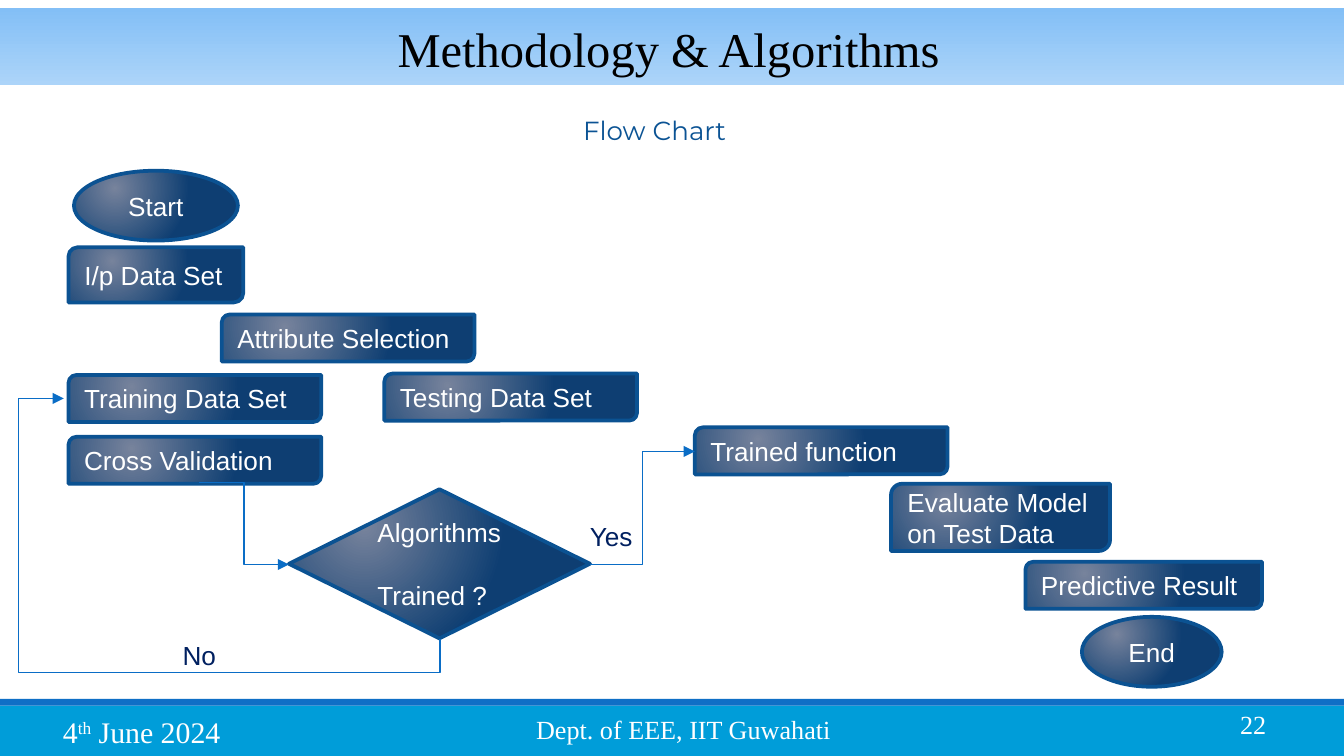
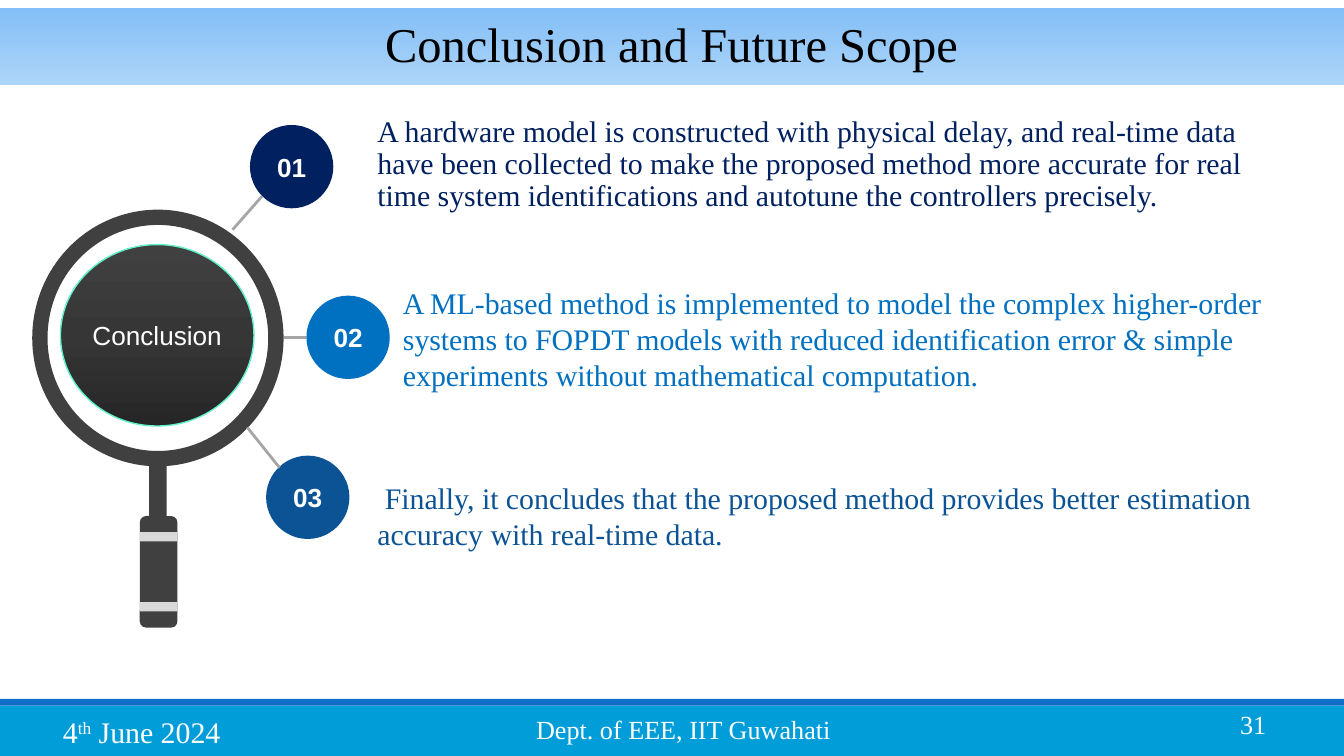
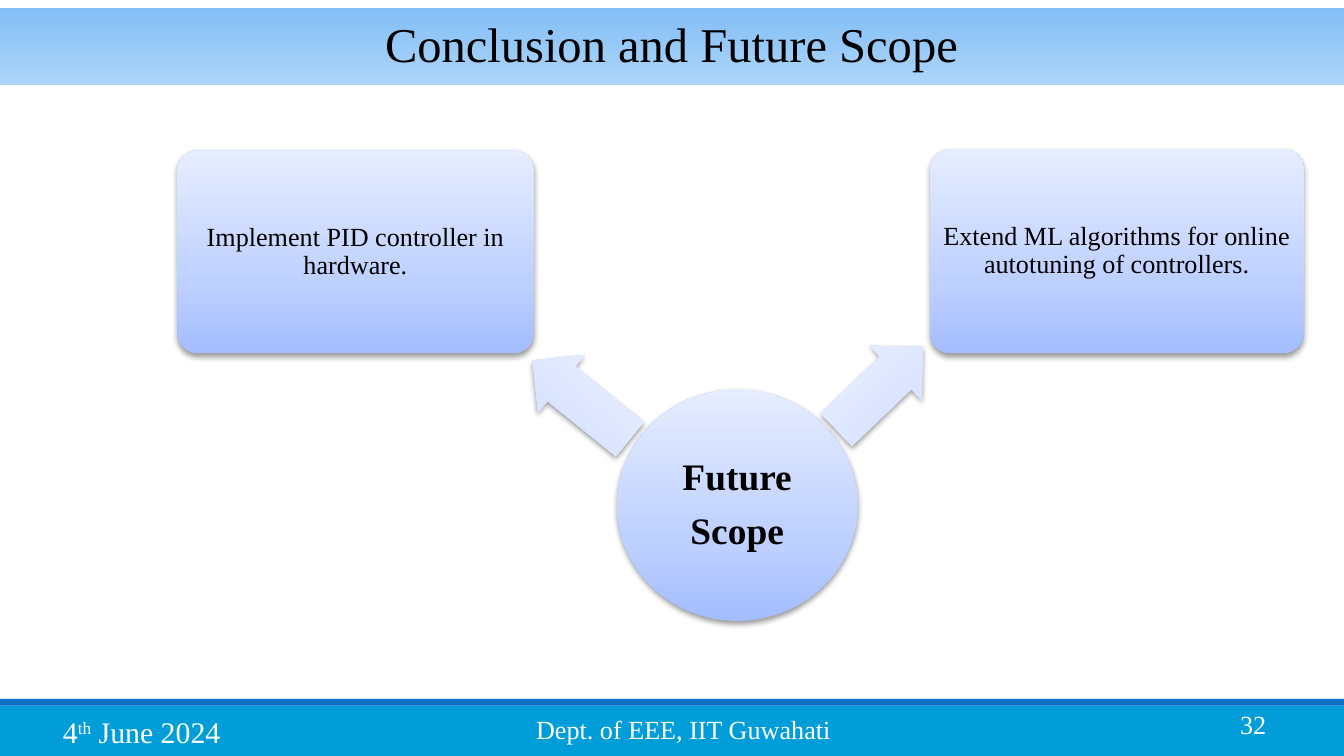
from typing import NamedTuple

from lxml import etree
from pptx import Presentation
from pptx.dml.color import RGBColor
from pptx.enum.shapes import MSO_CONNECTOR, MSO_SHAPE
from pptx.enum.text import MSO_ANCHOR, PP_ALIGN
from pptx.oxml.ns import qn
from pptx.util import Inches, Pt

# Grid: 100 columns by 56.25 rows of square cells
WIDTH, HEIGHT = Inches(10), Inches(5.625)
CELL = WIDTH // 100

SERIF, SANS, DISPLAY = "Times New Roman", "Arial", "Montserrat"

BLACK = RGBColor(0x00, 0x00, 0x00)
WHITE = RGBColor(0xFF, 0xFF, 0xFF)
FOOTER_BLUE = RGBColor(0x00, 0x9D, 0xD9)
STRIPE_BLUE = RGBColor(0x0F, 0x6F, 0xC6)
TITLE_TOP = RGBColor(0x83, 0xBF, 0xF6)
TITLE_BOTTOM = RGBColor(0xAC, 0xD4, 0xF9)
STEP_LIGHT = RGBColor(0x77, 0x83, 0x9C)
STEP_DARK = RGBColor(0x0E, 0x3E, 0x72)
STEP_EDGE = RGBColor(0x0B, 0x52, 0x92)
ARROW_BLUE = RGBColor(0x0A, 0x6D, 0xC6)
NAVY = RGBColor(0x00, 0x20, 0x60)
BLUE = RGBColor(0x00, 0x70, 0xC0)
DEEP_BLUE = RGBColor(0x0B, 0x53, 0x94)
CHARCOAL = RGBColor(0x40, 0x40, 0x40)
SILVER = RGBColor(0xD9, 0xD9, 0xD9)
SPOKE_GRAY = RGBColor(0xA6, 0xA6, 0xA6)
MINT = RGBColor(0x5F, 0xF3, 0xCA)

# Gradients: (position in percent, colour)
TITLE_STOPS = [(0, TITLE_TOP), (100, TITLE_BOTTOM)]
STEP_STOPS = [(0, STEP_LIGHT), (84, STEP_DARK)]
LENS_STOPS = [(0, RGBColor(0x26, 0x26, 0x26)), (50, RGBColor(0x36, 0x36, 0x36)),
              (100, CHARCOAL)]
CARD_STOPS = [(0, RGBColor(0xA3, 0xBD, 0xFF)), (35, RGBColor(0xBE, 0xD0, 0xFF)),
              (100, RGBColor(0xE6, 0xED, 0xFF))]
POINTER_STOPS = [(0, RGBColor(0xCB, 0xD9, 0xFF)), (35, RGBColor(0xDA, 0xE4, 0xFF)),
                 (100, RGBColor(0xF0, 0xF4, 0xFF))]

RECT, ROUND_RECT = MSO_SHAPE.RECTANGLE, MSO_SHAPE.ROUNDED_RECTANGLE
ELLIPSE, DONUT = MSO_SHAPE.OVAL, MSO_SHAPE.DONUT
STEP, DECISION = MSO_SHAPE.ROUND_2_DIAG_RECTANGLE, MSO_SHAPE.FLOWCHART_DECISION
LEFT_ARROW, RIGHT_ARROW = MSO_SHAPE.LEFT_ARROW, MSO_SHAPE.RIGHT_ARROW
STRAIGHT, ELBOW = MSO_CONNECTOR.STRAIGHT, MSO_CONNECTOR.ELBOW
LEFT, CENTER, RIGHT = PP_ALIGN.LEFT, PP_ALIGN.CENTER, PP_ALIGN.RIGHT
TOP, MIDDLE = MSO_ANCHOR.TOP, MSO_ANCHOR.MIDDLE


class Box(NamedTuple):
    """A region in grid cells."""
    x: float
    y: float
    w: float
    h: float

    def inner(self, dx, dy, w, h):
        return Box(self.x + dx, self.y + dy, w, h)

    def emu(self):
        return [round(v * CELL) for v in self]


def add_xml(parent, tag, **attrs):
    return etree.SubElement(parent, qn(tag), {k: str(v) for k, v in attrs.items()})


def add_color(parent, color):
    return add_xml(parent, "a:srgbClr", val=color)


def set_gradient(sp, stops, angle=None):
    """Linear at the given angle, or circular without one."""
    sp.fill.gradient()
    grad = sp._element.spPr.find(qn("a:gradFill"))
    for child in list(grad):
        grad.remove(child)
    gs_list = add_xml(grad, "a:gsLst")
    for pos, color in stops:
        add_color(add_xml(gs_list, "a:gs", pos=pos * 1000), color)
    if angle is None:
        circle = add_xml(grad, "a:path", path="circle")
        add_xml(circle, "a:fillToRect", l=50000, t=50000, r=100000, b=100000)
    else:
        add_xml(grad, "a:lin", ang=angle * 60000, scaled=0)


def set_shadow(sp):
    effects = sp._element.spPr.find(qn("a:effectLst"))
    shadow = add_xml(effects, "a:outerShdw", blurRad=Pt(3.1), dist=Pt(1.6),
                     dir=90 * 60000, rotWithShape=0)
    add_xml(add_color(shadow, BLACK), "a:alpha", val=38000)


def add_shape(slide, kind, box, fill=None, stops=None, angle=None, edge=None,
              edge_width=2, adjust=()):
    sp = slide.shapes.add_shape(kind, *box.emu())
    sp.shadow.inherit = False
    if stops:
        set_gradient(sp, stops, angle)
    else:
        sp.fill.solid()
        sp.fill.fore_color.rgb = fill
    if edge is None:
        sp.line.fill.background()
    else:
        sp.line.color.rgb = edge
        sp.line.width = Pt(edge_width)
    for i, value in enumerate(adjust):
        sp.adjustments[i] = value
    return sp


def set_text(sp, lines, size, color, font=SANS, bold=False, align=LEFT,
             anchor=MIDDLE, inset=None, wrap=True, spacing=None, gap=0):
    """Each line is a paragraph; a list of (text, baseline) pairs gives runs."""
    tf = sp.text_frame
    tf.word_wrap = wrap
    tf.vertical_anchor = anchor
    if inset is not None:
        tf.margin_left = tf.margin_right = Inches(inset)
        tf.margin_top = tf.margin_bottom = Inches(inset)
    for i, line in enumerate(lines):
        p = tf.add_paragraph() if i else tf.paragraphs[0]
        for text, baseline in [(line, 0)] if isinstance(line, str) else line:
            r = p.add_run()
            r.text = text
            if baseline:
                r._r.get_or_add_rPr().set("baseline", str(baseline * 1000))
        p.alignment = align
        if spacing:
            p.line_spacing = spacing
        if i and gap:
            p.space_before = Pt(gap)
        p.font.name, p.font.size, p.font.bold = font, Pt(size), bold
        p.font.color.rgb = color
    return tf


def add_text(slide, box, lines, size, color, **style):
    sp = slide.shapes.add_textbox(*box.emu())
    return set_text(sp, lines, size, color, anchor=TOP, **style)


def add_line(slide, kind, box, start, end, color, width, arrow=False):
    ends = [round(v * CELL) for x, y in (start, end) for v in (box.x + x, box.y + y)]
    cn = slide.shapes.add_connector(kind, *ends)
    cn.line.color.rgb = color
    cn.line.width = Pt(width)
    sp_pr = cn._element.spPr
    if arrow:
        add_xml(sp_pr.find(qn("a:ln")), "a:tailEnd", type="triangle")
    add_xml(sp_pr, "a:effectLst")
    return cn


# Shared frame
def add_footer(slide, box, number):
    add_shape(slide, RECT, box.inner(0, 0.5, box.w, 3.75), FOOTER_BLUE)
    add_shape(slide, RECT, box.inner(0, 0, box.w, 0.5), STRIPE_BLUE)
    date = [("4", 0), ("th", 30), (" June 2024", 0)]
    add_text(slide, box.inner(3.7, 0.6, 20.4, 3.7), [date], 16, WHITE, font=SERIF)
    add_text(slide, box.inner(38.9, 0.6, 26.2, 3.4), ["Dept. of EEE, IIT Guwahati"],
             14, WHITE, font=SERIF)
    add_text(slide, box.inner(86.6, 0.2, 8.6, 3.4), [str(number)], 14, WHITE,
             font=SERIF, align=RIGHT)


def new_slide(prs, number, title=None):
    slide = prs.slides.add_slide(prs.slide_layouts[6])
    band = add_shape(slide, RECT, Box(0, 0.6, 100, 5.7), stops=TITLE_STOPS, angle=90)
    if title:
        set_text(band, [title], 26, BLACK, font=SERIF, align=CENTER, spacing=0.9)
    add_footer(slide, Box(0, 52, 100, 4.25), number)
    return slide


# Flow chart
STEPS = [
    (ELLIPSE, "Start", (5.5, 4.7, 12.2, 5.2)),
    (STEP, "I/p Data Set", (5.1, 10.4, 13, 4.1)),
    (STEP, "Attribute Selection", (16.5, 15.4, 18.8, 3.5)),
    (STEP, "Testing Data Set", (28.6, 19.8, 18.8, 3.5)),
    (STEP, "Training Data Set", (5.1, 19.9, 18.8, 3.5)),
    (STEP, "Cross Validation", (5.1, 24.5, 18.8, 3.5)),
    (STEP, "Trained function", (51.7, 23.8, 18.8, 3.5)),
    (STEP, "Evaluate Model on Test Data", (66.3, 28, 16.3, 5)),
    (STEP, "Predictive Result", (76.3, 33.8, 17.6, 3.5)),
    (ELLIPSE, "End", (80.5, 37.9, 10.4, 5.2)),
]


def add_loop_back(slide, box):
    """Four-segment elbow from below the decision back to the training set."""
    cn = add_line(slide, ELBOW, box, (27.7, 16.6), (9.8, 44.6), ARROW_BLUE, 0.75, True)
    sp_pr = cn._element.spPr
    sp_pr.find(qn("a:xfrm")).set("rot", str(90 * 60000))
    geom = sp_pr.find(qn("a:prstGeom"))
    geom.set("prst", "bentConnector4")
    guides = geom.find(qn("a:avLst"))
    if guides is None:
        guides = add_xml(geom, "a:avLst")
    for name, value in (("adj1", -13900), ("adj2", 112000)):
        add_xml(guides, "a:gd", name=name, fmla=f"val {value}")


def add_flow_chart(slide, box):
    add_text(slide, box.inner(42.4, 0, 13.7, 3.4), ["Flow Chart"], 14, DEEP_BLUE,
             font=DISPLAY, wrap=False)
    for kind, label, place in STEPS:
        sp = add_shape(slide, kind, box.inner(*place), stops=STEP_STOPS, edge=STEP_EDGE)
        set_text(sp, [label], 14, WHITE, align=CENTER if kind == ELLIPSE else LEFT)
    # Decision
    sp = add_shape(slide, DECISION, box.inner(21.5, 28.4, 22.4, 11.1),
                   stops=STEP_STOPS, edge=STEP_EDGE)
    set_text(sp, ["Algorithms", "Trained ?"], 14, WHITE, wrap=False, gap=17)
    # Routes and their labels
    for start, end in (((14.8, 27.9), (21.5, 34)), ((43.9, 34), (51.7, 25.6))):
        add_line(slide, ELBOW, box, start, end, ARROW_BLUE, 0.75, True)
    add_loop_back(slide, box)
    for label, place in (("No", (12.6, 39.1, 4.5, 3.4)), ("Yes", (42.9, 30.2, 5.5, 3.4))):
        add_text(slide, box.inner(*place), [label], 14, NAVY, wrap=False)


# Conclusion
FINDINGS = [
    # colour, dot corner, spoke start and end, text place, line spacing, indent, text
    (NAVY, (1.6, 1.3), (2.5, 6.6), (0.3, 9.1), (10.1, 0.2, 66.8, 8.3), 0.9, 0,
     "A hardware model is constructed with physical delay, and real-time data have "
     "been collected to make the proposed method more accurate for real time system "
     "identifications and autotune the controllers precisely."),
    (BLUE, (5.8, 14), (5.8, 17.1), (4.1, 17.1), (12, 12.7, 67.6, 11.4), None, 0,
     "A ML-based method is implemented to model the complex higher-order systems to "
     "FOPDT models with reduced identification error & simple experiments without "
     "mathematical computation."),
    (DEEP_BLUE, (2.8, 25.9), (3.8, 26.8), (1.4, 23.8), (10.1, 27.2, 69.6, 6.4), None, 4,
     "Finally, it concludes that the proposed method provides better estimation "
     "accuracy with real-time data."),
]


def add_magnifier(slide, box):
    # Grip, rod and bands
    add_shape(slide, ROUND_RECT, box.inner(8, 22.8, 2.8, 8.3), CHARCOAL)
    add_shape(slide, ROUND_RECT, box.inner(8.7, 18, 1.3, 5.6), CHARCOAL)
    for y in (24, 29.2):
        add_shape(slide, RECT, box.inner(8, y, 2.8, 0.7), SILVER)
    # Ring and lens
    add_shape(slide, DONUT, box.inner(0, 0, 18.7, 19.1), CHARCOAL, adjust=[0.061])
    lens = add_shape(slide, ELLIPSE, box.inner(2.1, 2.6, 14.4, 13.5), stops=LENS_STOPS,
                     angle=270, edge=MINT, edge_width=0.75)
    set_text(lens, ["Conclusion"], 14, WHITE, align=CENTER, inset=0)


def add_findings(slide, box):
    for i, finding in enumerate(FINDINGS, 1):
        color, corner, start, end, place, spacing, indent, text = finding
        dot = add_shape(slide, ELLIPSE, box.inner(*corner, 6.2, 6.2), color)
        set_text(dot, [f"{i:02}"], 14, WHITE, bold=True, align=CENTER, inset=0)
        add_line(slide, STRAIGHT, box, start, end, SPOKE_GRAY, 1.5)
        tf = add_text(slide, box.inner(*place), [text], 16, color, font=SERIF,
                      spacing=spacing)
        if indent:
            tf.paragraphs[0]._p.get_or_add_pPr().set("indent", str(Pt(indent)))


# Future scope
def add_future_scope(slide, box):
    hub = add_shape(slide, ELLIPSE, box.inner(32.9, 18, 17.9, 17.2),
                    stops=CARD_STOPS, angle=270)
    set_text(hub, ["Future", "Scope"], 20, BLACK, font=SERIF, bold=True, align=CENTER,
             inset=0.01, spacing=0.9, gap=7)
    set_shadow(hub)
    branches = [
        (LEFT_ARROW, (25.6, 16, 9.3, 5.5), 39, (0.2, 0.2, 26.5, 15.1),
         "Implement PID controller in hardware."),
        (RIGHT_ARROW, (48, 15.1, 8.9, 5.6), 316.3, (56.2, 0.1, 27.8, 15.2),
         "Extend ML algorithms for online autotuning of controllers."),
    ]
    for kind, arrow_place, turn, card_place, text in branches:
        arrow = add_shape(slide, kind, box.inner(*arrow_place), stops=POINTER_STOPS,
                          angle=270, adjust=[0.6, 0.5])
        arrow.rotation = turn
        set_shadow(arrow)
        card = add_shape(slide, ROUND_RECT, box.inner(*card_place), stops=CARD_STOPS,
                         angle=270, adjust=[0.1])
        set_text(card, [text], 14, BLACK, font=SERIF, align=CENTER, inset=0.03,
                 spacing=0.9)
        set_shadow(card)


def main():
    prs = Presentation()
    prs.slide_width, prs.slide_height = WIDTH, HEIGHT

    slide = new_slide(prs, 22)
    add_flow_chart(slide, Box(0, 8, 100, 44))
    add_text(slide, Box(28.6, 0.9, 43, 5.4), ["Methodology & Algorithms"], 26, BLACK,
             font=SERIF, wrap=False)

    slide = new_slide(prs, 31, "Conclusion and Future Scope")
    add_magnifier(slide, Box(2.4, 15.6, 18.7, 31.1))
    add_findings(slide, Box(17, 8, 80, 34))

    slide = new_slide(prs, 32, "Conclusion and Future Scope")
    add_future_scope(slide, Box(13, 11, 84, 36))

    prs.save("out.pptx")


if __name__ == "__main__":
    main()
